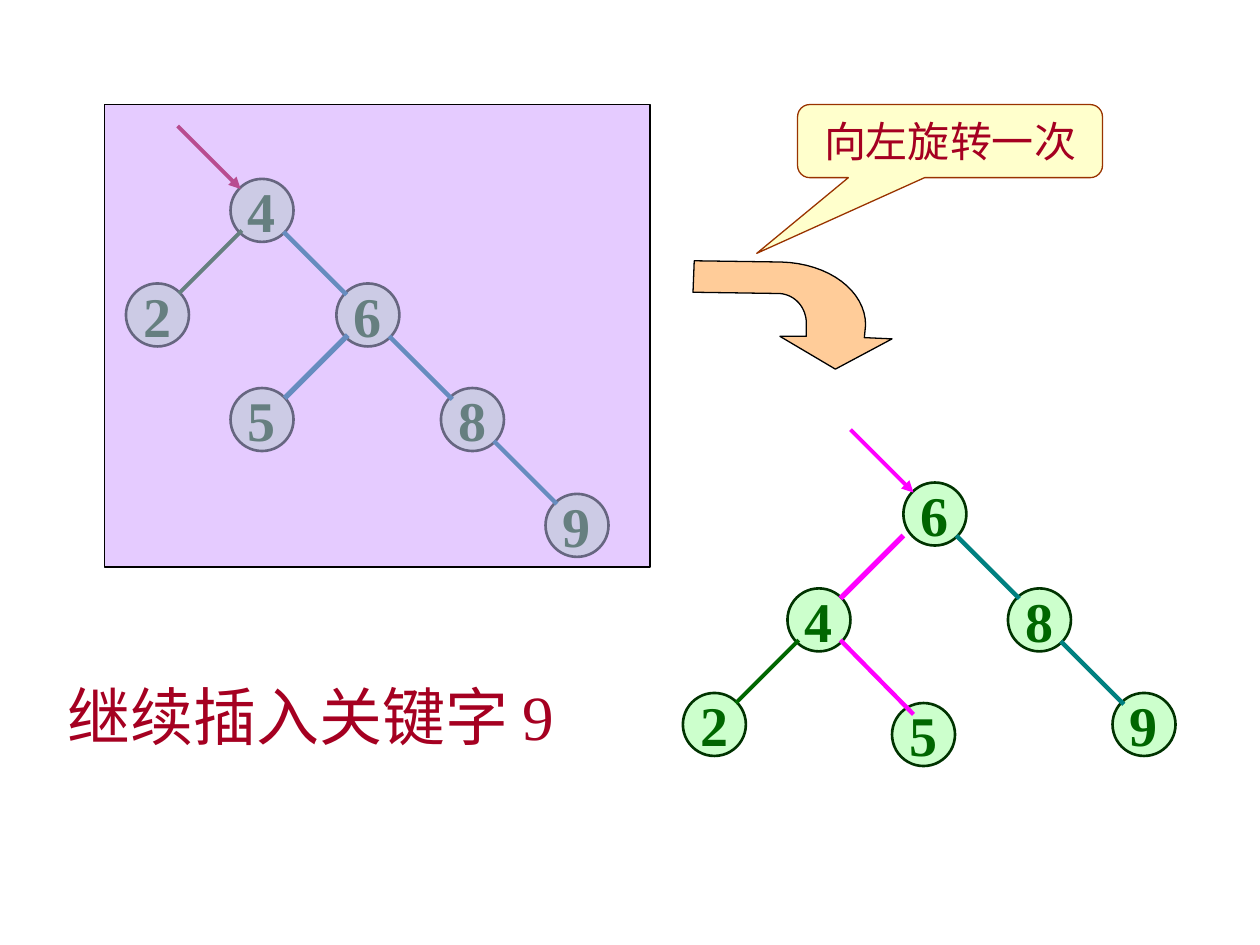
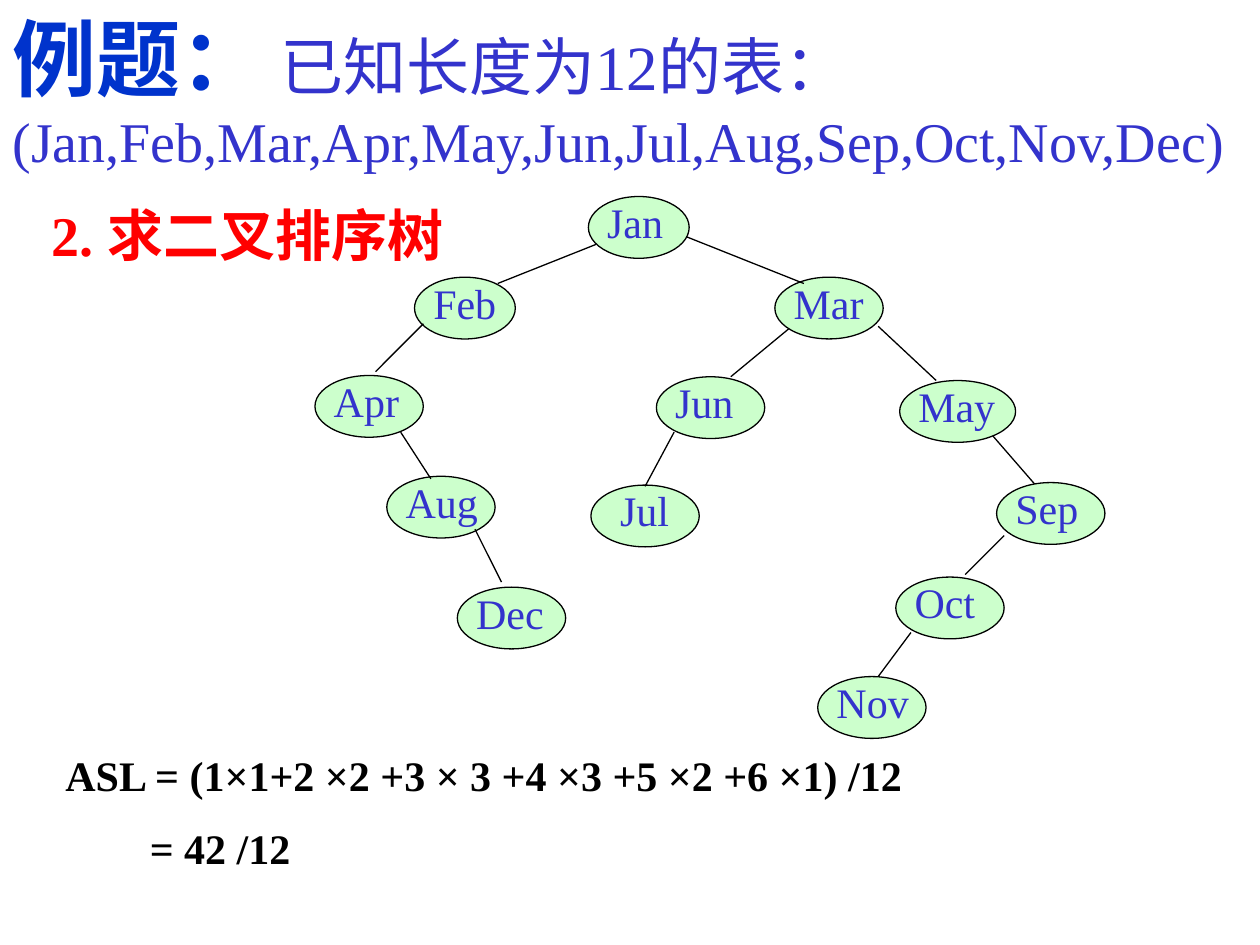
import lxml.etree
import pptx
import pptx.dml.color
import pptx.enum.shapes
import pptx.enum.text
import pptx.oxml.ns
import pptx.util

Inches = pptx.util.Inches
Pt = pptx.util.Pt
RGBColor = pptx.dml.color.RGBColor
Kind = pptx.enum.shapes.MSO_SHAPE
Anchor = pptx.enum.text.MSO_ANCHOR
Align = pptx.enum.text.PP_ALIGN
qn = pptx.oxml.ns.qn

BLACK = RGBColor(0x00, 0x00, 0x00)
WHITE = RGBColor(0xFF, 0xFF, 0xFF)
MINT = RGBColor(0xCC, 0xFF, 0xCC)
FOREST = RGBColor(0x00, 0x33, 0x00)
GREEN = RGBColor(0x00, 0x66, 0x00)
TEAL = RGBColor(0x00, 0x80, 0x80)
CRIMSON = RGBColor(0xA5, 0x00, 0x21)
PINK = RGBColor(0xFF, 0x00, 0xFF)
LILAC = RGBColor(0xCC, 0x99, 0xFF)
PEACH = RGBColor(0xFF, 0xCC, 0x99)
CREAM = RGBColor(0xFF, 0xFF, 0xCC)
BROWN = RGBColor(0x99, 0x33, 0x00)
BLUE = RGBColor(0x00, 0x33, 0xCC)
INDIGO = RGBColor(0x33, 0x33, 0xCC)
RED = RGBColor(0xFF, 0x00, 0x00)


class Deck:
    """Hold the style and the current slide, and draw each kind of element."""

    font = "Times New Roman"
    thin = 0.75

    def __init__(self):
        self.prs = pptx.Presentation()
        self.prs.slide_width, self.prs.slide_height = Inches(10), Inches(7.5)

    def page(self):
        self.shapes = self.prs.slides.add_slide(self.prs.slide_layouts[6]).shapes

    def put(self, frame, rows, align=Align.LEFT, anchor=Anchor.TOP, wrap=True, gap=0):
        frame.word_wrap, frame.vertical_anchor = wrap, anchor
        for i, row in enumerate(rows):
            para = frame.paragraphs[0] if i == 0 else frame.add_paragraph()
            para.alignment = align
            if i:
                para.space_before = Pt(gap)
            for text, size, color, bold in row:
                run = para.add_run()
                run.text = text
                run.font.name, run.font.size = self.font, Pt(size)
                run.font.color.rgb, run.font.bold = color, bold

    def text(self, x, y, w, h, rows):
        box = self.shapes.add_textbox(Inches(x), Inches(y), Inches(w), Inches(h))
        self.put(box.text_frame, rows)

    def paint(self, shape, fill, line, width):
        shape.shadow.inherit = False
        shape.fill.solid()
        shape.fill.fore_color.rgb = fill
        if line is None:
            shape.line.fill.background()
        else:
            shape.line.color.rgb, shape.line.width = line, Pt(width)
        return shape

    def shape(self, kind, x, y, w, h, fill, line=BLACK, width=thin):
        shape = self.shapes.add_shape(kind, Inches(x), Inches(y), Inches(w), Inches(h))
        return self.paint(shape, fill, line, width)

    def line(self, x1, y1, x2, y2, color=BLACK, width=thin, arrow=False):
        line = self.shapes.add_connector(
            pptx.enum.shapes.MSO_CONNECTOR.STRAIGHT,
            Inches(x1), Inches(y1), Inches(x2), Inches(y2))
        line.line.color.rgb, line.line.width = color, Pt(width)
        props = line._element.spPr
        if arrow:
            lxml.etree.SubElement(props.find(qn("a:ln")), qn("a:tailEnd"), type="triangle")
        lxml.etree.SubElement(props, qn("a:effectLst"))

    def veil(self, x, y, w, h, color, alpha):
        shape = self.shape(Kind.RECTANGLE, x, y, w, h, color)
        tint = shape._element.spPr.find(qn("a:solidFill"))[0]
        lxml.etree.SubElement(tint, qn("a:alpha"), val=str(alpha * 1000))

    def outline(self, points, fill):
        pts = [(Inches(x), Inches(y)) for x, y in points]
        build = self.shapes.build_freeform(*pts[0], scale=1.0)
        build.add_line_segments(pts[1:], close=True)
        self.paint(build.convert_to_shape(), fill, BLACK, self.thin)

    def key(self, text, x, y):
        shape = self.shape(Kind.OVAL, x, y, 0.5, 0.5, MINT, FOREST, 1.5)
        self.put(shape.text_frame, [[(text, 32, GREEN, True)]],
                 Align.CENTER, Anchor.MIDDLE, False)

    def left(self, x, y, color, width):
        self.line(x + 0.09, y + 0.41, x - 0.41, y + 0.91, color, width)

    def right(self, x, y, color=TEAL, width=2.5):
        self.line(x + 0.42, y + 0.42, x + 0.92, y + 0.92, color, width)

    def root(self, x, y, color):
        self.line(x - 0.42, y - 0.42, x + 0.08, y + 0.08, color, 2.25, True)

    def month(self, name, x, y, w):
        self.shape(Kind.OVAL, x, y, w, 0.49, MINT)
        self.text(x + 0.05, y - 0.05, w - 0.08, 0.5, [[(name, 24, INDIGO, False)]])


def curve(a, b, c, d, steps=16):
    """Return points along a cubic curve from a to d."""
    return [tuple((1 - t) ** 3 * p + 3 * t * (1 - t) ** 2 * q
                  + 3 * t * t * (1 - t) * r + t ** 3 * s
                  for p, q, r, s in zip(a, b, c, d))
            for t in (i / steps for i in range(steps + 1))]


def rotate(deck):
    """Draw the tree before and after one left rotation."""
    deck.page()
    before = {"4": (1.83, 1.42), "2": (1, 2.25), "6": (2.67, 2.25),
              "5": (1.83, 3.08), "8": (3.5, 3.08), "9": (4.33, 3.92)}
    for text, at in before.items():
        deck.key(text, *at)
    deck.left(*before["4"], GREEN, 2.25)
    deck.left(*before["6"], TEAL, 3)
    for text in "468":
        deck.right(*before[text])
    deck.root(*before["4"], CRIMSON)
    deck.veil(0.83, 0.83, 4.33, 3.67, LILAC, 50)

    after = {"6": (7.17, 3.83), "4": (6.25, 4.67), "8": (8, 4.67),
             "2": (5.42, 5.5), "5": (7.08, 5.58), "9": (8.83, 5.5)}
    for text, at in after.items():
        deck.key(text, *at)
    deck.left(*after["4"], GREEN, 2.25)
    for text in "68":
        deck.right(*after[text])
    deck.root(*after["6"], PINK)
    deck.line(7.17, 4.25, 6.67, 4.75, PINK, 3)
    deck.line(6.67, 5.08, 7.25, 5.67, PINK, 2.5)

    outer = curve((6.87, 2.58), (6.87, 2.31), (6.58, 2.09), (6.2, 2.08))
    inner = curve((6.19, 2.33), (6.31, 2.34), (6.4, 2.44), (6.4, 2.57))
    deck.outline([(6.63, 2.93), (7.08, 2.69), (6.86, 2.68), *outer,
                  (5.51, 2.07), (5.5, 2.32), *inner, (6.4, 2.67), (6.19, 2.67)], PEACH)
    note = deck.shape(Kind.ROUNDED_RECTANGULAR_CALLOUT, 6.33, 0.83, 2.42, 0.58, CREAM, BROWN)
    for i, value in enumerate((-0.634, 1.536, 0.167)):
        note.adjustments[i] = value
    deck.put(note.text_frame, [[("向左旋转一次", 24, CRIMSON, False)]],
             Align.CENTER, Anchor.MIDDLE, False)
    deck.text(0.44, 5.33, 4.39, 0.7, [[("继续插入关键字 9", 36, CRIMSON, False)]])


def months(deck):
    """Draw the sorted tree of months and its search length."""
    deck.page()
    deck.text(0, 0, 10, 1.43, [
        [("例题：", 48, BLUE, True), (" ", 40, BLACK, False),
         ("已知长度为12的表：", 36, INDIGO, False)],
        [("(Jan,Feb,Mar,Apr,May,Jun,Jul,Aug,Sep,Oct,Nov,Dec)", 32, INDIGO, False)]])
    for name, x, y, w in (
            ("Jan", 4.67, 1.56, 0.8), ("Feb", 3.29, 2.2, 0.8), ("Mar", 6.15, 2.2, 0.86),
            ("Apr", 2.5, 2.98, 0.86), ("May", 7.14, 3.02, 0.92), ("Jun", 5.21, 2.99, 0.86),
            (" Jul", 4.69, 3.85, 0.86), ("Aug", 3.07, 3.78, 0.86), ("Sep", 7.91, 3.83, 0.86),
            ("Oct", 7.11, 4.58, 0.86), ("Nov", 6.49, 5.37, 0.86), ("Dec", 3.63, 4.66, 0.86)):
        deck.month(name, x, y, w)
    for ends in (
            (4.73, 1.94, 3.95, 2.25), (5.45, 1.88, 6.38, 2.25), (3.36, 2.57, 2.98, 2.95),
            (6.97, 2.59, 7.43, 3.02), (6.26, 2.61, 5.8, 2.99), (5.35, 3.43, 5.12, 3.86),
            (3.18, 3.43, 3.42, 3.8), (7.88, 3.46, 8.21, 3.84), (7.97, 4.25, 7.66, 4.56),
            (7.23, 5.02, 6.97, 5.37), (3.77, 4.2, 3.98, 4.62)):
        deck.line(*ends)
    panel = deck.shape(Kind.RECTANGLE, 0.42, 5.9, 9.58, 1.27, WHITE, None)
    deck.put(panel.text_frame, [
        [("ASL = (1×1+2 ×2 +3 × 3 +4 ×3 +5 ×2 +6 ×1) /12", 24, BLACK, True)],
        [("= 42 /12", 24, BLACK, True)]], gap=13)
    last = panel.text_frame.paragraphs[1]._p.get_or_add_pPr()
    last.set("marL", str(Inches(0.67)))
    deck.text(0.31, 1.54, 3.62, 0.63, [[("2. 求二叉排序树", 32, RED, True)]])


def main():
    """Build both slides and save them."""
    deck = Deck()
    rotate(deck)
    months(deck)
    deck.prs.save("out.pptx")


if __name__ == "__main__":
    main()
